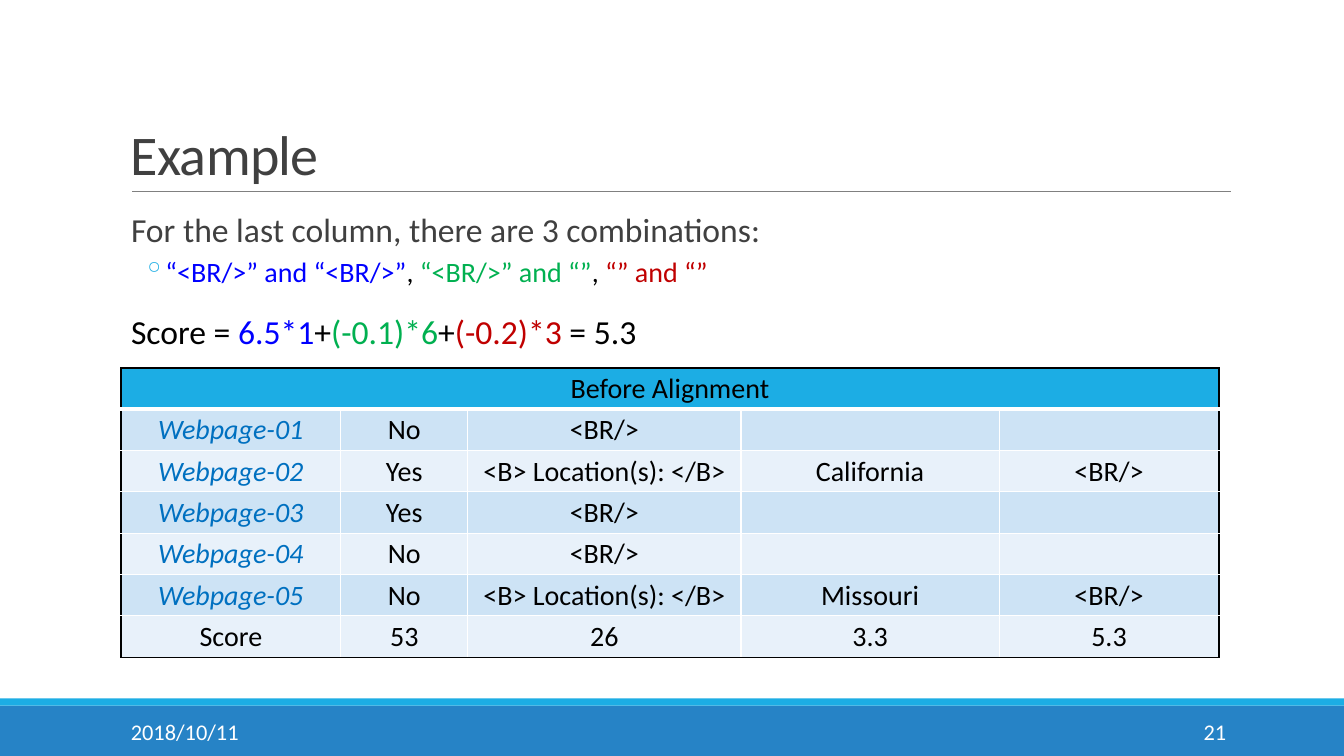
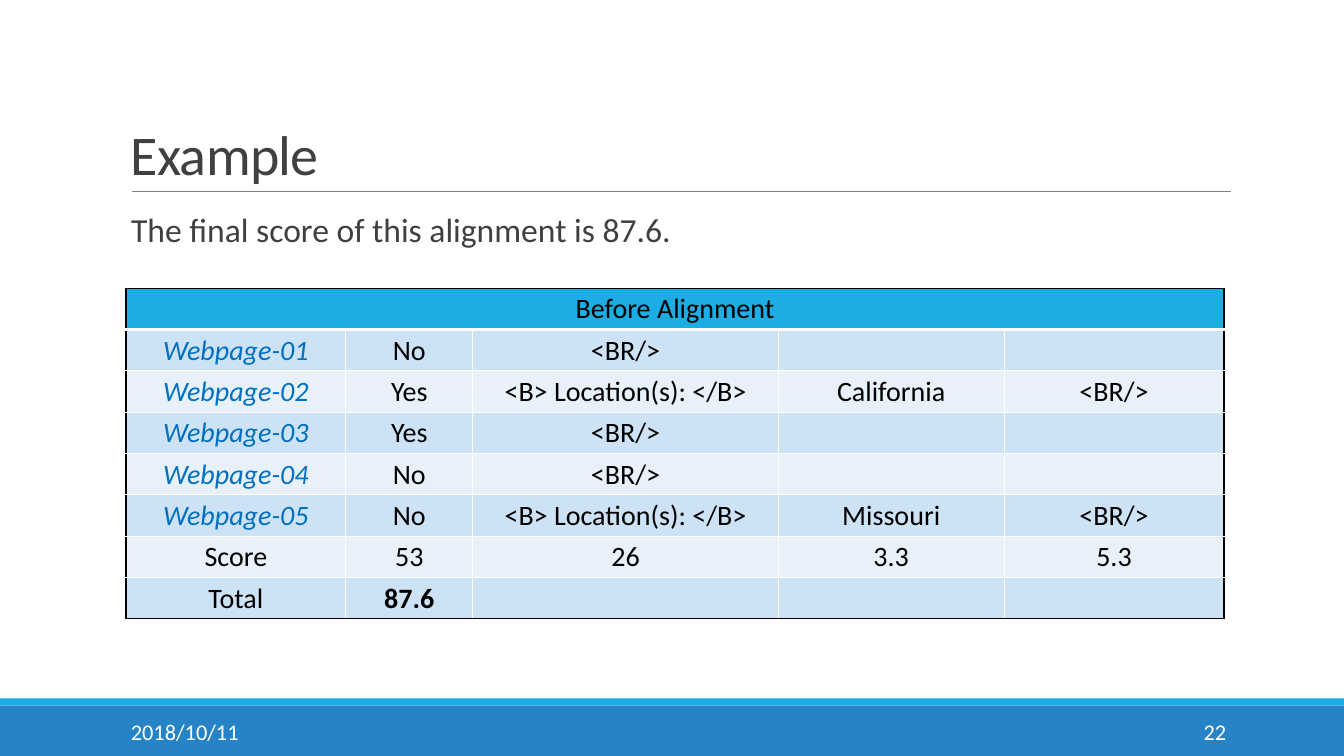
"""Build two slides that score a web page alignment."""
from dataclasses import dataclass

from lxml.etree import SubElement
from pptx import Presentation
from pptx.dml.color import RGBColor
from pptx.enum.shapes import MSO_CONNECTOR, MSO_SHAPE
from pptx.enum.text import MSO_ANCHOR, PP_ALIGN
from pptx.oxml.ns import qn
from pptx.util import Inches, Pt

RECT = MSO_SHAPE.RECTANGLE
LINE = MSO_CONNECTOR.STRAIGHT
LEFT, MID, RIGHT = PP_ALIGN.LEFT, PP_ALIGN.CENTER, PP_ALIGN.RIGHT
TOP, CENTER, BASE = MSO_ANCHOR.TOP, MSO_ANCHOR.MIDDLE, MSO_ANCHOR.BOTTOM

FONT = "Calibri"
WIDE, HIGH = 13.33, 7.5
EDGE, SPAN = 1.2, 11
ROW = 0.41
COLORS = {
    "white": "FFFFFF", "black": "000000", "text": "404040", "rule": "808080",
    "band": "2683C6", "accent": "1CADE4", "dark": "CDE3F5", "light": "E8F1FA",
    "link": "0070C0", "blue": "0000FF", "green": "00B050", "red": "C00000",
}


@dataclass(frozen=True)
class Span:
    text: str
    color: str = "black"


@dataclass(frozen=True)
class Para:
    spans: tuple[Span, ...]
    sub: bool = False


@dataclass(frozen=True)
class Grid:
    left: float
    top: float
    cols: tuple[float, ...]
    rows: tuple[tuple[str, ...], ...]


@dataclass(frozen=True)
class Page:
    number: int
    paras: tuple[Para, ...]
    grid: Grid


ROWS = (
    ("Before Alignment",),
    ("Webpage-01", "No", "<BR/>"),
    ("Webpage-02", "Yes", "<B> Location(s): </B>", "California", "<BR/>"),
    ("Webpage-03", "Yes", "<BR/>"),
    ("Webpage-04", "No", "<BR/>"),
    ("Webpage-05", "No", "<B> Location(s): </B>", "Missouri", "<BR/>"),
    ("Score", "53", "26", "3.3", "5.3"),
)
TOTAL = ("Total", "87.6")

PAGES = (
    Page(21, (
        Para((Span("For the last column, there are 3 combinations:", "text"),)),
        Para((Span("“<BR/>” and “<BR/>”", "blue"), Span(", "),
              Span("“<BR/>” and “”", "green"), Span(", "),
              Span("“” and “”", "red")), sub=True),
        Para((Span("Score = "), Span("6.5*1", "blue"), Span("+"),
              Span("(-0.1)*6", "green"), Span("+"),
              Span("(-0.2)*3 ", "red"), Span("= 5.3"))),
    ), Grid(1.2, 3.65, (2.18, 1.26, 2.71, 2.56, 2.18), ROWS)),
    Page(22, (
        Para((Span("The final score of this alignment is 87.6.", "text"),)),
    ), Grid(1.25, 2.86, (2.18, 1.26, 3.03, 2.24, 2.18), ROWS + (TOTAL,))),
)


def tint(name: str) -> RGBColor:
    return RGBColor.from_string(COLORS[name])


def style(run, size: float, color: str) -> None:
    run.font.name = FONT
    run.font.size = Pt(size)
    run.font.color.rgb = tint(color)


def add_box(slide, left: float, top: float, width: float, height: float, anchor):
    box = slide.shapes.add_textbox(
        Inches(left), Inches(top), Inches(width), Inches(height))
    frame = box.text_frame
    frame.word_wrap = True
    frame.vertical_anchor = anchor
    return frame


def add_label(slide, text: str, left: float, width: float, align) -> None:
    frame = add_box(slide, left, 7.06, width, 0.4, CENTER)
    frame.text = text
    para = frame.paragraphs[0]
    para.alignment = align
    style(para.runs[0], 16, "white")


def add_band(slide, top: float, height: float, color: str) -> None:
    band = slide.shapes.add_shape(
        RECT, 0, Inches(top), Inches(WIDE), Inches(height))
    band.shadow.inherit = False
    band.fill.solid()
    band.fill.fore_color.rgb = tint(color)
    band.line.fill.background()


def add_frame(slide, number: int) -> None:
    add_band(slide, 7, 0.5, "band")
    add_band(slide, 6.93, 0.07, "accent")
    rule = slide.shapes.add_connector(
        LINE, Inches(1.31), Inches(1.9), Inches(12.21), Inches(1.9))
    rule.line.color.rgb = tint("rule")
    rule.line.width = Pt(0.5)
    SubElement(rule._element.spPr, qn("a:effectLst"))
    frame = add_box(slide, EDGE, 0.31, SPAN, 1.59, BASE)
    frame.text = "Example"
    para = frame.paragraphs[0]
    para.line_spacing = 0.85
    style(para.runs[0], 40, "text")
    para.runs[0]._r.get_or_add_rPr().set("spc", "-50")
    add_label(slide, "2018/10/11", EDGE, 2.7, LEFT)
    add_label(slide, str(number), 10.83, 1.43, RIGHT)


def add_body(slide, paras: tuple[Para, ...]) -> None:
    frame = add_box(slide, EDGE, 2.02, SPAN, 4.4, TOP)
    frame.margin_left = frame.margin_right = 0
    for place, item in enumerate(paras):
        para = frame.add_paragraph() if place else frame.paragraphs[0]
        para.space_before = Pt(2 if item.sub else 12)
        para.space_after = Pt(4 if item.sub else 2)
        props = para._p.get_or_add_pPr()
        props.set("marL", str(Inches(0.42 if item.sub else 0.1)))
        if item.sub:
            para.level = 1
            props.set("indent", str(Inches(-0.2)))
            color = SubElement(props, qn("a:buClr"))
            SubElement(color, qn("a:srgbClr"), val=COLORS["accent"])
            SubElement(props, qn("a:buChar"), char="◦")
        for span in item.spans:
            run = para.add_run()
            run.text = span.text
            style(run, 20 if item.sub else 24, span.color)


def add_edge(cell, side: str, color: str, width: float) -> None:
    props = cell._tc.get_or_add_tcPr()
    edge = SubElement(props, qn(f"a:ln{side}"), w=str(Pt(width)))
    fill = SubElement(edge, qn("a:solidFill"))
    SubElement(fill, qn("a:srgbClr"), val=COLORS[color])


def fill_cell(cell, text: str, row: int, col: int, last: tuple[int, int]) -> None:
    outer = {"L": col == 0, "R": col == last[1], "T": row == 0, "B": row == last[0]}
    for side, rim in outer.items():
        thick = (row, side) in ((0, "B"), (1, "T"))
        add_edge(cell, side, "black" if rim else "white", 3 if thick else 1)
    cell.fill.solid()
    cell.fill.fore_color.rgb = tint(
        "accent" if row == 0 else "dark" if row % 2 else "light")
    cell.margin_left = cell.margin_right = cell.margin_top = Inches(0.01)
    cell.margin_bottom = 0
    cell.vertical_anchor = CENTER
    if text:
        cell.text = text
        para = cell.text_frame.paragraphs[0]
        para.alignment = MID
        run = para.runs[0]
        link = text.startswith("Webpage")
        style(run, 20, "link" if link else "black")
        run.font.italic = link
        run.font.bold = text == TOTAL[1]


def add_grid(slide, grid: Grid) -> None:
    rows, cols = len(grid.rows), len(grid.cols)
    table = slide.shapes.add_table(
        rows, cols, Inches(grid.left), Inches(grid.top),
        Inches(sum(grid.cols)), Inches(ROW * rows)).table
    table.first_row = table.horz_banding = False
    for col, width in enumerate(grid.cols):
        table.columns[col].width = Inches(width)
    for row, texts in enumerate(grid.rows):
        table.rows[row].height = Inches(ROW)
        for col in range(cols):
            text = texts[col] if col < len(texts) else ""
            fill_cell(table.cell(row, col), text, row, col, (rows - 1, cols - 1))
    table.cell(0, 0).merge(table.cell(0, cols - 1))
    add_edge_right(table.cell(0, 0))


def add_edge_right(cell) -> None:
    edge = cell._tc.get_or_add_tcPr().find(qn("a:lnR"))
    edge.find(".//" + qn("a:srgbClr")).set("val", COLORS["black"])


def main() -> None:
    deck = Presentation()
    deck.slide_width, deck.slide_height = Inches(WIDE), Inches(HIGH)
    for page in PAGES:
        slide = deck.slides.add_slide(deck.slide_layouts[6])
        add_frame(slide, page.number)
        add_grid(slide, page.grid)
        add_body(slide, page.paras)
    deck.save("out.pptx")


if __name__ == "__main__":
    main()
